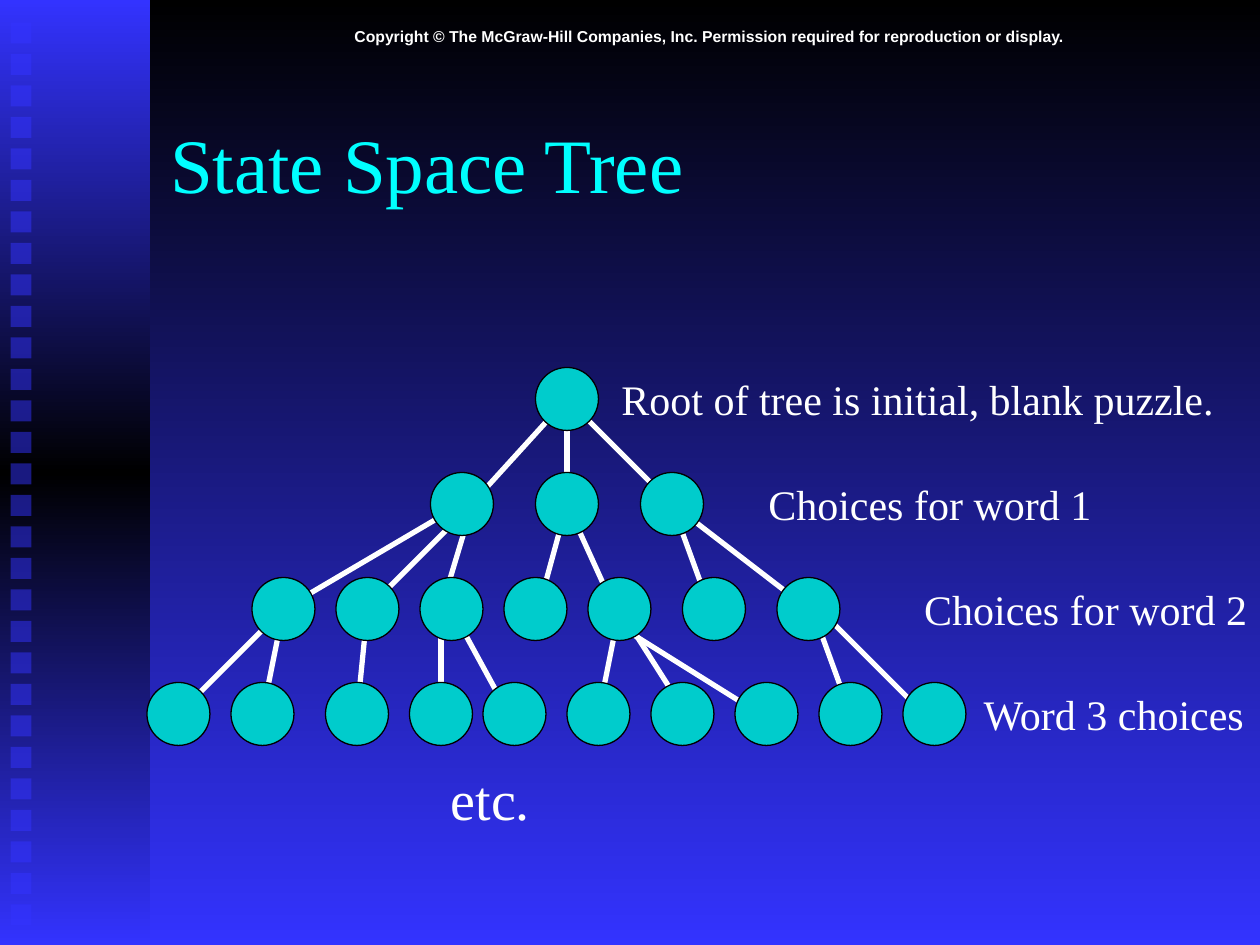
from copy import deepcopy

from lxml.etree import SubElement
from pptx import Presentation
from pptx.dml.color import RGBColor
from pptx.enum.shapes import MSO_CONNECTOR, MSO_SHAPE
from pptx.enum.text import MSO_ANCHOR, PP_ALIGN
from pptx.oxml.ns import qn
from pptx.util import Pt

BLACK = RGBColor(0x00, 0x00, 0x00)
BLUE = RGBColor(0x33, 0x33, 0xFF)
WHITE = RGBColor(0xFF, 0xFF, 0xFF)
CYAN = RGBColor(0x00, 0xFF, 0xFF)
TEAL = RGBColor(0x00, 0xCC, 0xCC)

SERIF, SANS = "Times New Roman", "Arial"
UNIT = 6  # points per step of the tree's grid
NODE_SIZE = 6  # grid steps
SQUARE_COUNT, SQUARE_SIZE, SQUARE_PITCH = 29, 12, 18

TITLE = "State Space Tree"
COPYRIGHT = ("Copyright © The McGraw-Hill Companies, Inc. "
             "Permission required for reproduction or display.")

# Top of each level and left edges of its nodes, in grid steps
LEVELS = [
    (65, [14, 22, 31, 39, 46, 54, 62, 70, 78, 86]),
    (55, [24, 32, 40, 48, 56, 65, 74]),
    (45, [41, 51, 61]),
    (35, [51]),
]

# Upper point and the lower points it leads to, in grid steps
BRANCHES = [
    ((54, 38), [(44, 49), (54, 48), (64, 48)]),
    ((44, 48), [(27, 58)]),
    ((44, 49), [(35, 58)]),
    ((45, 48), [(42, 58)]),
    ((54, 48), [(51, 59), (59, 59)]),
    ((64, 48), [(68, 59), (77, 58)]),
    ((27, 58), [(16, 69), (25, 68)]),
    ((35, 58), [(34, 68)]),
    ((42, 58), [(42, 68)]),
    ((43, 58), [(49, 69)]),
    ((59, 58), [(57, 68), (66, 69)]),
    ((58, 59), [(74, 69)]),
    ((77, 57), [(81, 68), (89, 69)]),
]

# Text, left, top, width, height in points, font size
LABELS = [
    ("Root of tree is initial, blank puzzle.", 348, 210, 353, 36, 24),
    ("Choices for word 1", 432, 270, 199, 36, 24),
    ("Choices for word 2", 521, 330, 199, 36, 24),
    ("Word 3 choices", 555, 390, 165, 36, 24),
    ("etc.", 250.5, 433.5, 60, 46, 32),
]


def paint_gradient(fill, colors):
    """Shade from top to bottom; the fill must hold one stop per colour."""
    fill.gradient_angle = 270
    for index, (stop, color) in enumerate(zip(fill.gradient_stops, colors)):
        stop.position = index / (len(colors) - 1)
        stop.color.rgb = color


def add_shape(slide, kind, left, top, width, height):
    shape = slide.shapes.add_shape(kind, Pt(left), Pt(top), Pt(width), Pt(height))
    shape.shadow.inherit = False
    shape.line.fill.background()
    return shape


def write(shape, text, size, name=SERIF, color=WHITE, bold=False,
          align=PP_ALIGN.LEFT, wrap=True, anchor=MSO_ANCHOR.TOP):
    frame = shape.text_frame
    frame.text = text
    frame.word_wrap = wrap
    frame.vertical_anchor = anchor
    paragraph = frame.paragraphs[0]
    paragraph.alignment = align
    for key, value in {"size": Pt(size), "name": name, "bold": bold}.items():
        setattr(paragraph.font, key, value)
    paragraph.font.color.rgb = color


def add_side_band(slide):
    band = add_shape(slide, MSO_SHAPE.RECTANGLE, 0, 0, 85.7, 540)
    band.fill.gradient()
    stops = band.element.spPr.find(f".//{qn('a:gsLst')}")
    stops.append(deepcopy(stops[0]))
    paint_gradient(band.fill, [BLUE, BLACK, BLUE])
    for row in range(SQUARE_COUNT):
        square = add_shape(slide, MSO_SHAPE.RECTANGLE, 6, 12.8 + row * SQUARE_PITCH,
                           SQUARE_SIZE, SQUARE_SIZE)
        square.fill.solid()
        square.fill.fore_color.rgb = BLUE
        color = square.element.spPr.find(f".//{qn('a:srgbClr')}")
        SubElement(color, qn("a:alpha"), val="50000")


def add_tree(slide):
    for start, ends in BRANCHES:
        for end in ends:
            points = [Pt(step * UNIT) for step in start + end]
            branch = slide.shapes.add_connector(MSO_CONNECTOR.STRAIGHT, *points)
            branch.line.color.rgb = WHITE
            branch.line.width = Pt(3)
            SubElement(branch.element.spPr, qn("a:effectLst"))
    for top, lefts in LEVELS:
        for left in lefts:
            box = [step * UNIT for step in (left, top, NODE_SIZE, NODE_SIZE)]
            node = add_shape(slide, MSO_SHAPE.OVAL, *box)
            node.fill.solid()
            node.fill.fore_color.rgb = TEAL
            node.line.color.rgb = BLACK
            node.line.width = Pt(0.75)


def add_text(slide, text, left, top, width, height, size, **style):
    box = slide.shapes.add_textbox(Pt(left), Pt(top), Pt(width), Pt(height))
    write(box, text, size, **style)


def main():
    presentation = Presentation()
    presentation.slide_width, presentation.slide_height = Pt(720), Pt(540)
    slide = presentation.slides.add_slide(presentation.slide_layouts[5])
    background = slide.background.fill
    background.gradient()
    paint_gradient(background, [BLACK, BLUE])

    add_side_band(slide)
    add_text(slide, COPYRIGHT, 90, 12, 630, 18, 9, name=SANS, bold=True,
             align=PP_ALIGN.CENTER)
    title = slide.shapes.title
    place = {"left": 90, "top": 48, "width": 612, "height": 90}
    for side, length in place.items():
        setattr(title, side, Pt(length))
    write(title, TITLE, 44, color=CYAN, anchor=MSO_ANCHOR.MIDDLE)
    add_tree(slide)
    for label in LABELS:
        add_text(slide, *label, wrap=False)
    presentation.save("out.pptx")


if __name__ == "__main__":
    main()
